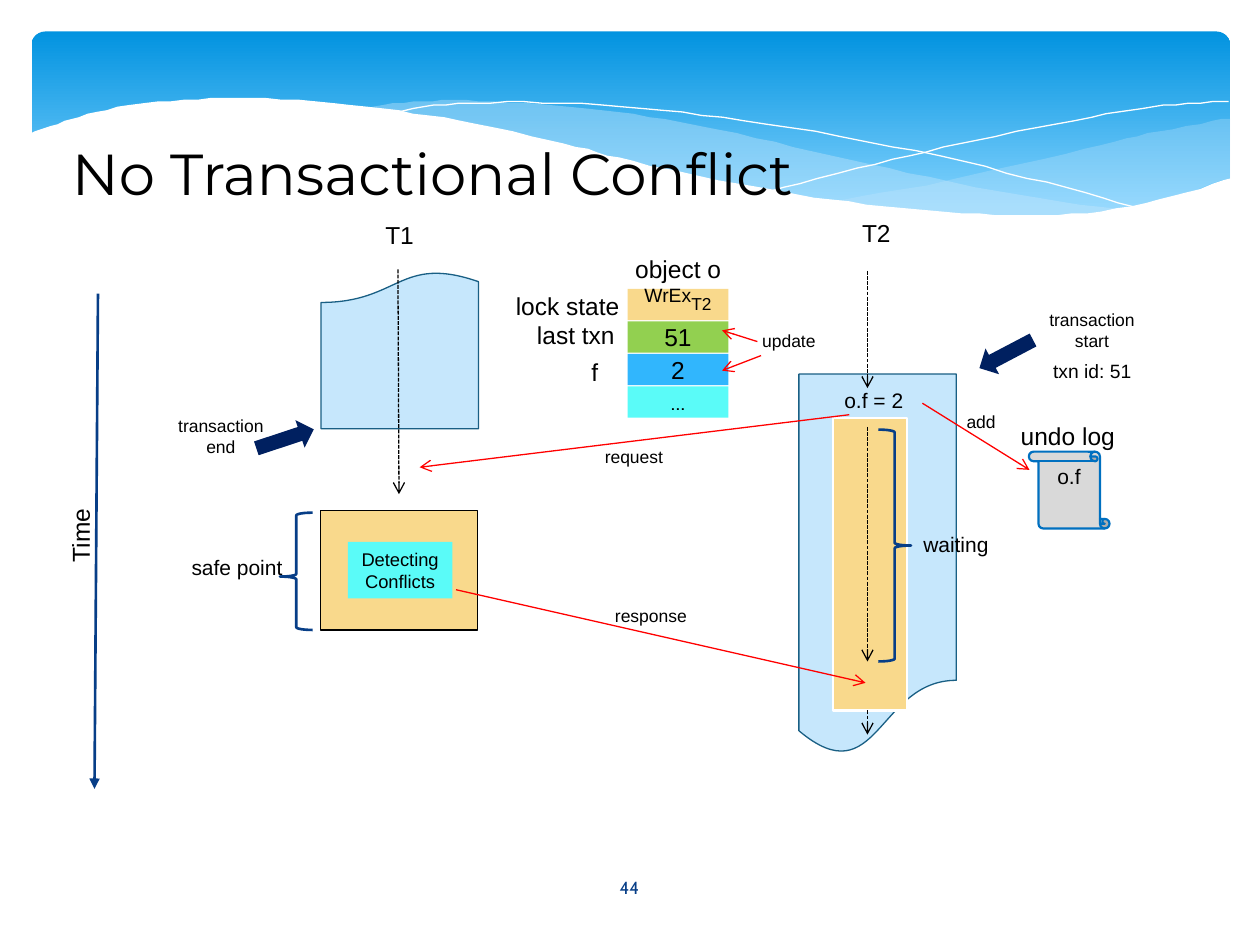
from lxml import etree
from pptx import Presentation
from pptx.dml.color import RGBColor
from pptx.enum import dml, shapes, text
from pptx.oxml import ns
from pptx.util import Pt

SHAPE, ALIGN, ANCHOR = shapes.MSO_SHAPE, text.PP_ALIGN, text.MSO_ANCHOR
BLACK, WHITE, RED, NAVY, DEEP_NAVY = "000000", "FFFFFF", "FF0000", "073E87", "002060"
PALE, SAND, AQUA, PALE_EDGE = "C6E7FC", "F9D98C", "5AFBF8", "195F84"
TIGHT, WIDE = (5.8, 2.9), (7.2, 7.2)


def color(hex_string):
    return RGBColor.from_string(hex_string)


def style(shape, fill=None, line=None, width=0, alpha=None):
    """Alpha is the opacity of the fill in percent."""
    shape.shadow.inherit = False
    if fill:
        shape.fill.solid()
        shape.fill.fore_color.rgb = color(fill)
        if alpha:
            tint = shape.fill._xPr.find(".//" + ns.qn("a:srgbClr"))
            etree.SubElement(tint, ns.qn("a:alpha"), val=str(alpha * 1000))
    else:
        shape.fill.background()
    if line:
        shape.line.color.rgb = color(line)
        shape.line.width = Pt(width)
    else:
        shape.line.fill.background()
    return shape


def add_preset(slide, kind, box, fill=None, line=None, width=0, rotation=0):
    shape = slide.shapes.add_shape(kind, *map(Pt, box))
    shape.rotation = rotation
    return style(shape, fill, line, width)


def write(shape, content, size, align=ALIGN.LEFT, anchor=ANCHOR.TOP,
          inset=(7.2, 3.6), font="Arial", ink=BLACK):
    frame = shape.text_frame
    frame.word_wrap = True
    frame.vertical_anchor = anchor
    frame.margin_left = frame.margin_right = Pt(inset[0])
    frame.margin_top = frame.margin_bottom = Pt(inset[1])
    frame.text = content
    for paragraph in frame.paragraphs:
        paragraph.alignment = align
        paragraph.font.name = font
        paragraph.font.size = Pt(size)
        paragraph.font.color.rgb = color(ink)
    return shape


def add_label(slide, content, box, size, **options):
    return write(slide.shapes.add_textbox(*map(Pt, box)), content, size, **options)


def add_arrow(slide, start, end, ink, width=0.75, dash=None, head="arrow"):
    arrow = slide.shapes.add_connector(
        shapes.MSO_CONNECTOR.STRAIGHT, *map(Pt, start + end))
    arrow.line.color.rgb = color(ink)
    arrow.line.width = Pt(width)
    if dash:
        arrow.line.dash_style = dash
    etree.SubElement(arrow.line._get_or_add_ln(), ns.qn("a:tailEnd"), type=head)
    etree.SubElement(arrow._element.spPr, ns.qn("a:effectLst"))


def add_dashed_arrow(slide, start, end):
    add_arrow(slide, start, end, BLACK, dash=dml.MSO_LINE.SQUARE_DOT)


def smooth(points, steps=6):
    """Points of a Catmull-Rom curve through the given points."""
    padded = [points[0], *points, points[-1]]
    curve = [points[0]]
    for a, b, c, d in zip(padded, padded[1:], padded[2:], padded[3:]):
        for t in (step / steps for step in range(1, steps + 1)):
            curve.append(tuple(
                (2 * q + (r - p) * t + (2 * p - 5 * q + 4 * r - s) * t ** 2
                 + (3 * q - p - 3 * r + s) * t ** 3) / 2
                for p, q, r, s in zip(a, b, c, d)))
    return curve


def add_curve(slide, origin, points, closed=False, **look):
    builder = slide.shapes.build_freeform(*points[0], scale=Pt(1))
    builder.add_line_segments(points[1:], close=closed)
    return style(builder.convert_to_shape(*map(Pt, origin)), **look)


def add_banner(slide, left, top, width, height):
    panel = add_preset(slide, SHAPE.ROUNDED_RECTANGLE,
                       (left + 18, top + 18, width - 35, height), PALE)
    panel.adjustments[0] = 0.07
    panel.fill.gradient()
    panel.fill.gradient_angle = 270
    for stop, (position, tone) in zip(panel.fill.gradient_stops,
                                      ((0, "0293E0"), (0.9, "83D3FE"))):
        stop.position = position
        stop.color.rgb = color(tone)

    right_wave = (smooth([(702.7, 67.7), (663, 75), (620, 85), (542, 103), (476, 115.2)])
                  + smooth([(476, 115.2), (518, 120.2), (570, 123.8), (621, 122.4),
                            (663, 115.2), (702.7, 101.5)]))
    middle_wave = (smooth([(643, 120.2), (581, 111), (508, 96.5), (453, 83.5), (389.5, 69.8),
                           (335, 62), (273.6, 57.6), (236, 58.3), (206, 62)])
                   + smooth([(206, 62), (260.6, 69.8), (323, 83.5), (407.5, 103), (468, 113.8),
                             (530, 121.7), (589, 124.6), (643, 120.2)]))
    falling_line = smooth([(222.5, 64.8), (247.7, 60.5), (299.5, 58.3), (367, 62),
                           (438, 70.6), (523.4, 86.4), (598, 104.4), (653, 119.5)])
    rising_line = smooth([(441.4, 108.7), (500.4, 93.6), (558.7, 80), (623.5, 67),
                          (665.3, 60.5), (702, 57.6)])
    front_wave = smooth([(703.4, 101.5), (662.4, 114.5), (612, 122.4), (560, 122.4),
                         (495.4, 116.6), (434, 107.3), (362, 92.2), (322, 82), (263, 69),
                         (210, 61.2), (152, 56.2), (105, 57), (61, 62.6), (33, 70.6),
                         (16.6, 77)]) + [(16.6, 161), (703.4, 161)]
    origin = (left, top)
    add_curve(slide, origin, right_wave, True, fill=PALE, alpha=29)
    add_curve(slide, origin, middle_wave, True, fill=PALE, alpha=40)
    for line in (falling_line, rising_line):
        add_curve(slide, origin, line, line=WHITE)
    add_curve(slide, origin, front_wave, True, fill=WHITE)


def add_time_axis(slide, left, top, height):
    add_arrow(slide, (left + 2, top), (left, top + height), NAVY, 1.5, head="triangle")
    label = add_label(slide, "Time", (left - 53.3, top + 116.6, 73.4, 14.4), 14, inset=WIDE)
    label.rotation = 270


def add_first_thread(slide, left, top, width):
    center = left + width / 2
    add_label(slide, "T1", (center - 36, top - 36.7, 72, 14.4), 14,
              align=ALIGN.CENTER, inset=WIDE)
    add_preset(slide, SHAPE.FLOWCHART_DOCUMENT, (left, top, width, width),
               PALE, PALE_EDGE, rotation=180)
    add_label(slide, "transaction end", (left - 92.9, top + 79.2, 71.3, 23), 10,
              align=ALIGN.CENTER, inset=TIGHT)
    add_preset(slide, SHAPE.UP_ARROW, (left - 28.8, top + 78.5, 16.6, 34.6),
               DEEP_NAVY, rotation=71.7)
    add_dashed_arrow(slide, (center - 1, top - 1), (center - 0.4, top + 127.4))


def add_safe_point(slide, left, top, width, height):
    add_preset(slide, SHAPE.RECTANGLE, (left, top, width, height), SAND, BLACK, 0.75)
    add_label(slide, "safe point", (left - 80.6, top + 18, 80, 27.4), 12, inset=WIDE)
    brace = add_preset(slide, SHAPE.LEFT_BRACE, (left - 23, top + 1.4, 18.7, height - 1.4),
                       line=NAVY, width=1.5)
    brace.adjustments[1] = 0.545
    check = add_preset(slide, SHAPE.RECTANGLE, (left + 15.8, top + 18, 59.8, 32.4), AQUA)
    write(check, "Detecting\nConflicts", 10.5, ALIGN.CENTER, ANCHOR.MIDDLE, inset=(0, 0))


def add_second_thread(slide, left, top, width, height):
    center = left + width / 2
    add_preset(slide, SHAPE.FLOWCHART_DOCUMENT, (left, top, width, height), PALE, PALE_EDGE)
    add_label(slide, "T2", (center - 36.7, top - 96.5, 72, 14.4), 14,
              align=ALIGN.CENTER, inset=WIDE)
    add_label(slide, "transaction start", (left + 131.8, top - 40.3, 71.3, 23), 10,
              align=ALIGN.CENTER, inset=TIGHT)
    add_label(slide, "txn id: 51", (left + 138.2, top - 12.2, 64.8, 20.9), 11)
    add_preset(slide, SHAPE.UP_ARROW, (left + 110.2, top - 28.8, 16.6, 34.6),
               DEEP_NAVY, rotation=242.3)
    add_preset(slide, SHAPE.RECTANGLE, (left + 19.4, top + 25.2, 42.5, 167), SAND, WHITE, 1.25)
    add_label(slide, "o.f = 2", (left + 20.2, top + 5, 50.4, 23), 12, inset=TIGHT)
    axis = left + 39.2
    for start, end in ((-59, 8), (30.2, 164.2), (192.2, 206)):
        add_dashed_arrow(slide, (axis, top + start), (axis, top + end))
    add_preset(slide, SHAPE.RIGHT_BRACE, (left + 45.4, top + 31.7, 18.7, 132.5),
               line=NAVY, width=1.5)
    add_label(slide, "waiting", (left + 64, top + 82.8, 87.8, 20.2), 12, inset=WIDE)


def add_object(slide, left, top, width, row_height):
    add_label(slide, "object o", (left - 1.4, top - 23, 64.8, 23), 14, inset=TIGHT)
    rows = ((SAND, "WrEx", 11, "Arial"), ("92D050", "51", 14, "Arial"),
            ("31B6FD", "2", 14, "Arial"), (AQUA, "…", 12, "Cabin"))
    cells = []
    for index, (fill, value, size, font) in enumerate(rows):
        cell = add_preset(slide, SHAPE.RECTANGLE,
                          (left, top + index * row_height, width, row_height - 0.7), fill)
        cells.append(write(cell, value, size, ALIGN.CENTER, ANCHOR.MIDDLE, font=font))
    cells[0].text_frame.vertical_anchor = ANCHOR.BOTTOM
    owner = cells[0].text_frame.paragraphs[0].add_run()
    owner.text = "T2"
    owner.font.size = Pt(17)
    owner.font._element.set("baseline", "-25000")
    for name, x, y, w in (("lock state", -71.3, -2.2, 74.2), ("last txn", -59, 14.4, 59),
                          ("f", -28, 35.3, 18.7)):
        add_label(slide, name, (left + x, top + y, w, 24.5), 14,
                  align=ALIGN.CENTER, inset=(0, 3.6))
    add_label(slide, "update", (left + 67, top + 20.9, 50.4, 23), 10,
              align=ALIGN.CENTER, inset=TIGHT)
    for x, start, end in ((74.2, 30.2, 23.8), (76.3, 38.2, 46.8)):
        add_arrow(slide, (left + x, top + start), (left + 54, top + end), RED)


def add_undo_log(slide, left, top):
    add_arrow(slide, (left - 61.9, top - 26.6), (left - 0.7, top + 11.5), RED)
    add_label(slide, "add", (left - 42.5, top - 25.2, 41.8, 13), 10, inset=TIGHT)
    add_preset(slide, SHAPE.HORIZONTAL_SCROLL, (left, top, 43.9, 46.1),
               "D9D9D9", "0070C0", 1.25, rotation=90)
    add_label(slide, "o.f", (left + 9.4, top + 5, 50.4, 23), 12, inset=TIGHT)
    add_label(slide, "undo log", (left - 13, top - 20.2, 68.4, 24.5), 14,
              align=ALIGN.CENTER, inset=(0, 3.6))


def add_message(slide, name, start, end, label_at):
    add_label(slide, name, label_at + (54, 23), 10, inset=TIGHT)
    add_arrow(slide, start, end, RED)


def main():
    presentation = Presentation()
    presentation.slide_width, presentation.slide_height = Pt(720), Pt(540)
    slide = presentation.slides.add_slide(presentation.slide_layouts[6])
    add_banner(slide, 0, 0, 720, 112.3)
    add_label(slide, "No Transactional Conflict", (34.6, 13.7, 636.5, 108), 33,
              anchor=ANCHOR.BOTTOM, inset=(6.5, 3.6), font="Montserrat")
    add_time_axis(slide, 54, 167.8, 283)
    add_second_thread(slide, 456.5, 213.8, 90, 218.2)
    add_first_thread(slide, 183.4, 155, 90)
    add_safe_point(slide, 183, 291.6, 90, 68.4)
    add_object(slide, 358.6, 165, 57.6, 18.6)
    add_undo_log(slide, 589, 257)
    add_message(slide, "request", (485.3, 237), (239.8, 267), (339.8, 252))
    add_message(slide, "response", (260.6, 337), (494.6, 390.2), (345.6, 342.7))
    add_label(slide, "44", (314, 492.5, 91.4, 28.8), 10, align=ALIGN.CENTER,
              anchor=ANCHOR.MIDDLE, font="Cabin", ink=NAVY)
    presentation.save("out.pptx")


if __name__ == "__main__":
    main()
